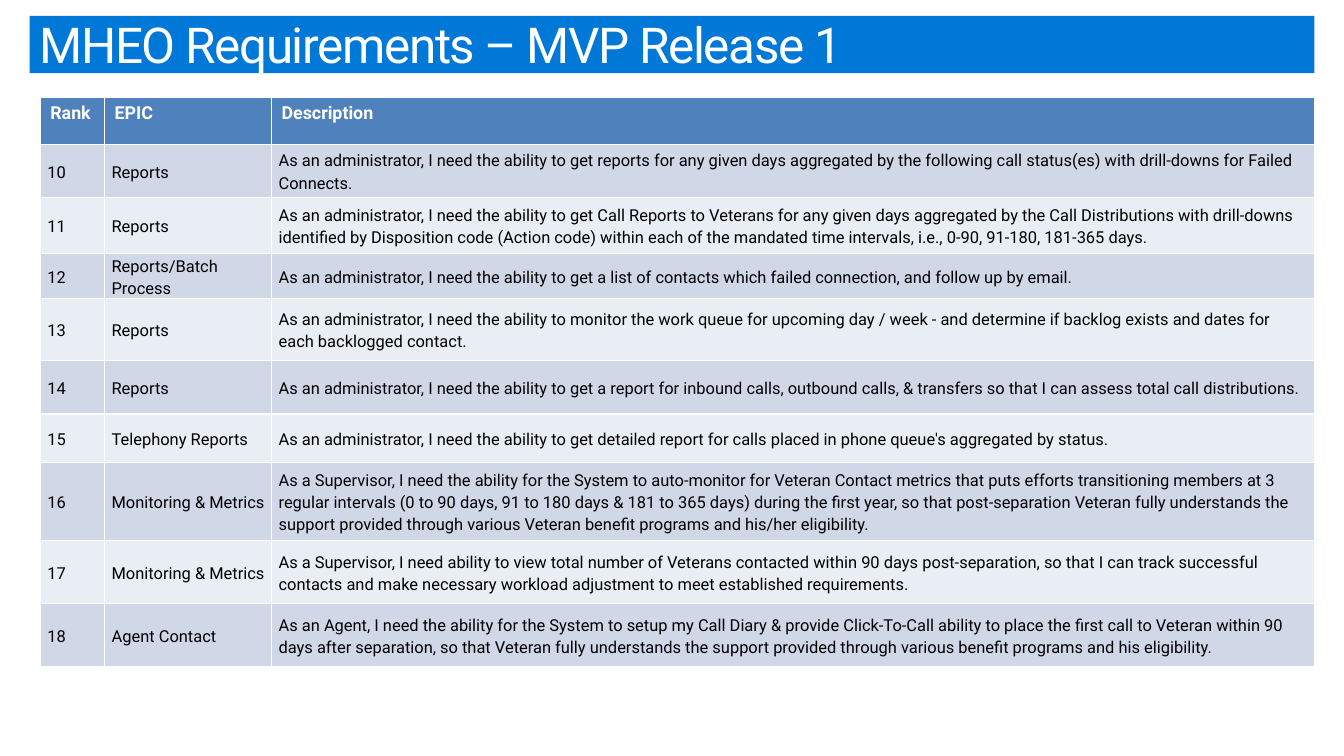
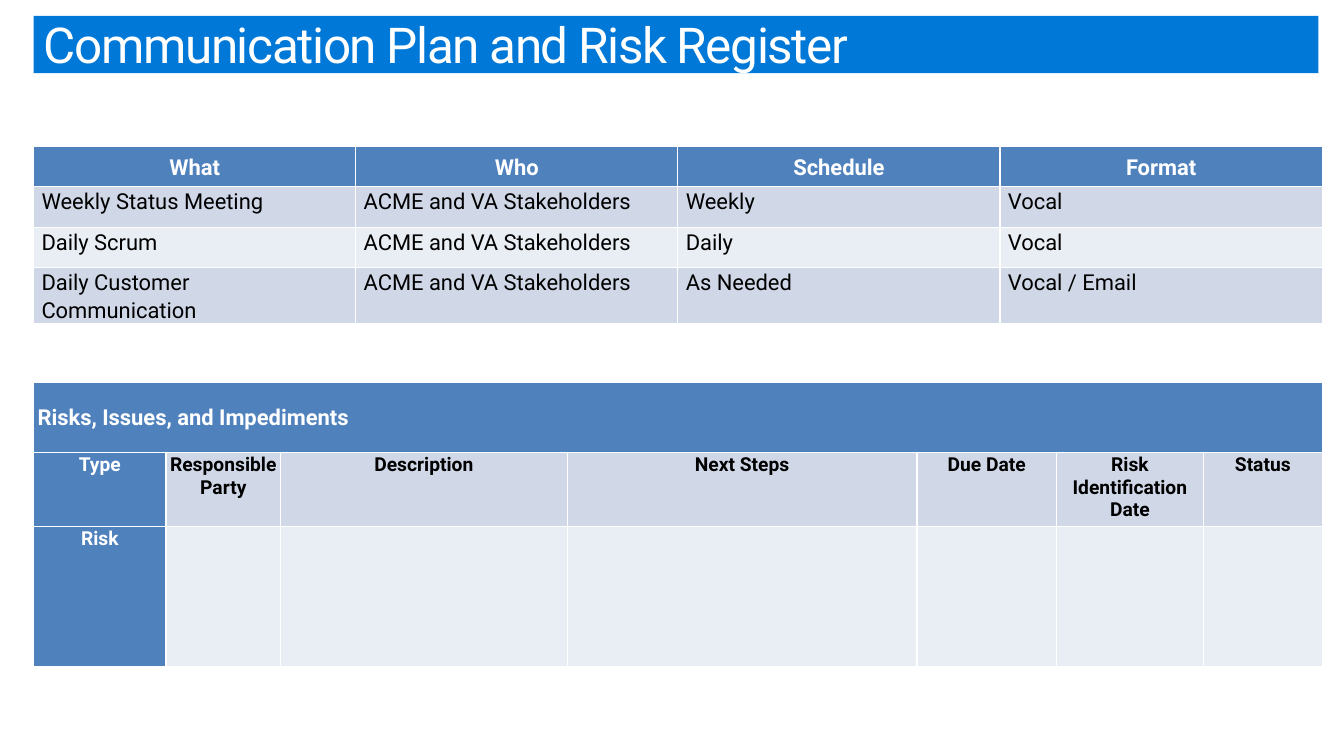
from dataclasses import dataclass

from pptx import Presentation
from pptx.dml.color import RGBColor as RGB
from pptx.enum.text import MSO_ANCHOR as Anchor, MSO_AUTO_SIZE as AutoSize, PP_ALIGN as Align
from pptx.util import Inches, Pt


@dataclass(frozen=True)
class Theme:
    font: str = "Roboto"
    band: RGB = RGB(0x00, 0x78, 0xD7)
    head: RGB = RGB(0x4F, 0x81, 0xBD)
    dark_row: RGB = RGB(0xD0, 0xD8, 0xE8)
    light_row: RGB = RGB(0xE9, 0xED, 0xF4)
    white: RGB = RGB(0xFF, 0xFF, 0xFF)
    black: RGB = RGB(0x00, 0x00, 0x00)
    title_size: Pt = Pt(36)
    large: Pt = Pt(16)
    label: Pt = Pt(14)
    small_head: Pt = Pt(13)
    small: Pt = Pt(12)


T = Theme()


def margins(left, top, right, bottom):
    return {"margin_left": Inches(left), "margin_top": Inches(top),
            "margin_right": Inches(right), "margin_bottom": Inches(bottom)}


@dataclass(frozen=True)
class CellStyle:
    cell: dict
    para: dict
    font: dict


REQ_HEAD = CellStyle(margins(0.1, 0.05, 0.1, 0.05), {}, {"size": T.small_head, "bold": True})
REQ_BODY = CellStyle({**margins(0.07, 0, 0.07, 0), "vertical_anchor": Anchor.MIDDLE},
                     {"line_spacing": 1.15, "space_after": Pt(10)},
                     {"size": T.small, "bold": False})
PLAN_BODY = CellStyle(margins(0.08, 0, 0.08, 0),
                      {"line_spacing": 1.1, "space_before": Pt(1), "space_after": Pt(1)},
                      {"size": T.large, "bold": False})
PLAN_HEAD = CellStyle({**PLAN_BODY.cell, "vertical_anchor": Anchor.MIDDLE},
                      {**PLAN_BODY.para, "alignment": Align.CENTER},
                      {"size": T.large, "bold": True})
RISK_BODY = CellStyle(margins(0.04, 0.01, 0.04, 0), {"alignment": Align.CENTER},
                      {"size": T.label, "bold": True})
RISK_HEAD = CellStyle({**RISK_BODY.cell, "vertical_anchor": Anchor.MIDDLE}, {},
                      {"size": T.large, "bold": True})

REQUIREMENTS = [
    ("Rank", "EPIC", "Description"),
    ("10", "Reports", "As an administrator, I need the ability to get reports for any given days "
     "aggregated by the following call status(es) with drill-downs for Failed Connects."),
    ("11", "Reports", "As an administrator, I need the ability to get Call Reports to Veterans for "
     "any given days aggregated by the Call Distributions with drill-downs identified by "
     "Disposition code (Action code) within each of the mandated time intervals, i.e., 0-90, "
     "91-180, 181-365 days."),
    ("12", "Reports/Batch Process", "As an administrator, I need the ability to get a list of "
     "contacts which failed connection, and follow up by email."),
    ("13", "Reports", "As an administrator, I need the ability to monitor the work queue for "
     "upcoming day / week - and determine if backlog exists and dates for each backlogged "
     "contact."),
    ("14", "Reports", "As an administrator, I need the ability to get a report for inbound calls, "
     "outbound calls, & transfers so that I can assess total call distributions."),
    ("15", "Telephony Reports", "As an administrator, I need the ability to get detailed report "
     "for calls placed in phone queue's aggregated by status."),
    ("16", "Monitoring & Metrics", "As a Supervisor, I need the ability for the System to "
     "auto-monitor for Veteran Contact metrics that puts efforts transitioning members at 3 "
     "regular intervals (0 to 90 days, 91 to 180 days & 181 to 365 days) during the first year, "
     "so that post-separation Veteran fully understands the support provided through various "
     "Veteran benefit programs and his/her eligibility."),
    ("17", "Monitoring & Metrics", "As a Supervisor, I need ability to view total number of "
     "Veterans contacted within 90 days post-separation, so that I can track successful contacts "
     "and make necessary workload adjustment to meet established requirements."),
    ("18", "Agent Contact", "As an Agent, I need the ability for the System to setup my Call Diary "
     "& provide Click-To-Call ability to place the first call to Veteran within 90 days after "
     "separation, so that Veteran fully understands the support provided through various benefit "
     "programs and his eligibility."),
]
STAKEHOLDERS = "ACME and VA Stakeholders"
PLAN = [
    ("What", "Who", "Schedule", "Format"),
    ("Weekly Status Meeting", STAKEHOLDERS, "Weekly", "Vocal"),
    ("Daily Scrum", STAKEHOLDERS, "Daily", "Vocal"),
    ("Daily Customer Communication", STAKEHOLDERS, "As Needed", "Vocal / Email"),
]
RISKS = [
    ("Risks, Issues, and Impediments",),
    ("Type", "Responsible Party", "Description", "Next Steps", "Due Date",
     "Risk Identification Date", "Status"),
    ("Risk",),
]


def apply(obj, values):
    for name, value in values.items():
        setattr(obj, name, value)


def add_titled_slide(prs, title, left):
    """Title-only slide whose title is a coloured band starting at left."""
    slide = prs.slides.add_slide(prs.slide_layouts[5])
    sp = slide.shapes.title
    apply(sp, {"left": Inches(left), "top": Inches(0.16),
               "width": Inches(13), "height": Inches(0.58)})
    sp.fill.solid()
    sp.fill.fore_color.rgb = T.band
    tf = sp.text_frame
    apply(tf, {"word_wrap": True, "auto_size": AutoSize.NONE, "vertical_anchor": Anchor.TOP})
    p = tf.paragraphs[0]
    apply(p, {"alignment": Align.LEFT, "line_spacing": 0.9})
    r = p.add_run()
    r.text = title
    apply(r.font, {"name": T.font, "size": T.title_size})
    r.font.color.rgb = T.white
    r._r.get_or_add_rPr().set("spc", "-100")
    return slide


def fill_cell(cell, text, style, fill, color):
    cell.fill.solid()
    cell.fill.fore_color.rgb = fill
    apply(cell, style.cell)
    if text:
        p = cell.text_frame.paragraphs[0]
        apply(p, style.para)
        r = p.add_run()
        r.text = text
        apply(r.font, {"name": T.font, **style.font})
        r.font.color.rgb = color


def add_grid(slide, left, top, cols, rows, data, head, body, first_col=False):
    """Banded table; short data rows leave their remaining cells empty."""
    frame = slide.shapes.add_table(len(rows), len(cols), Inches(left), Inches(top),
                                   Inches(sum(cols)), Inches(sum(rows)))
    table = frame.table
    table.first_col = first_col
    for col, width in zip(table.columns, cols):
        col.width = Inches(width)
    for i, (row, height) in enumerate(zip(table.rows, rows)):
        row.height = Inches(height)
        band = T.dark_row if i % 2 else T.light_row
        for j, cell in enumerate(row.cells):
            is_head = i == 0 or (first_col and j == 0)
            fill_cell(cell, data[i][j] if j < len(data[i]) else "",
                      body if i else head,
                      T.head if is_head else band,
                      T.white if is_head else T.black)
    return table


def add_requirements_slide(prs):
    slide = add_titled_slide(prs, "MHEO Requirements – MVP Release 1", 0.3)
    table = add_grid(slide, 0.41, 0.99, [0.65, 1.69, 10.55],
                     [0.47, 0.54, 0.57, 0.45, 0.63, 0.54, 0.49, 0.79, 0.64, 0.64],
                     REQUIREMENTS, REQ_HEAD, REQ_BODY)
    apply(table.cell(len(REQUIREMENTS) - 1, 2),
          {"vertical_anchor": Anchor.TOP, "margin_top": Inches(0.1)})


def add_plan_slide(prs):
    left = 0.34
    slide = add_titled_slide(prs, "Communication Plan and Risk Register", left)
    add_grid(slide, left, 1.48, [3.26] * 4, [0.41] * 4, PLAN, PLAN_HEAD, PLAN_BODY)
    risks = add_grid(slide, left, 3.87, [1.34, 1.16, 2.9, 3.54, 1.41, 1.49, 1.2],
                     [0.71, 0.75, 1.42], RISKS, RISK_HEAD, RISK_BODY, first_col=True)
    risks.cell(0, 0).merge(risks.cell(0, 6))


def main():
    prs = Presentation()
    apply(prs, {"slide_width": Inches(13.6), "slide_height": Inches(7.65)})
    add_requirements_slide(prs)
    add_plan_slide(prs)
    prs.save("out.pptx")


if __name__ == "__main__":
    main()
